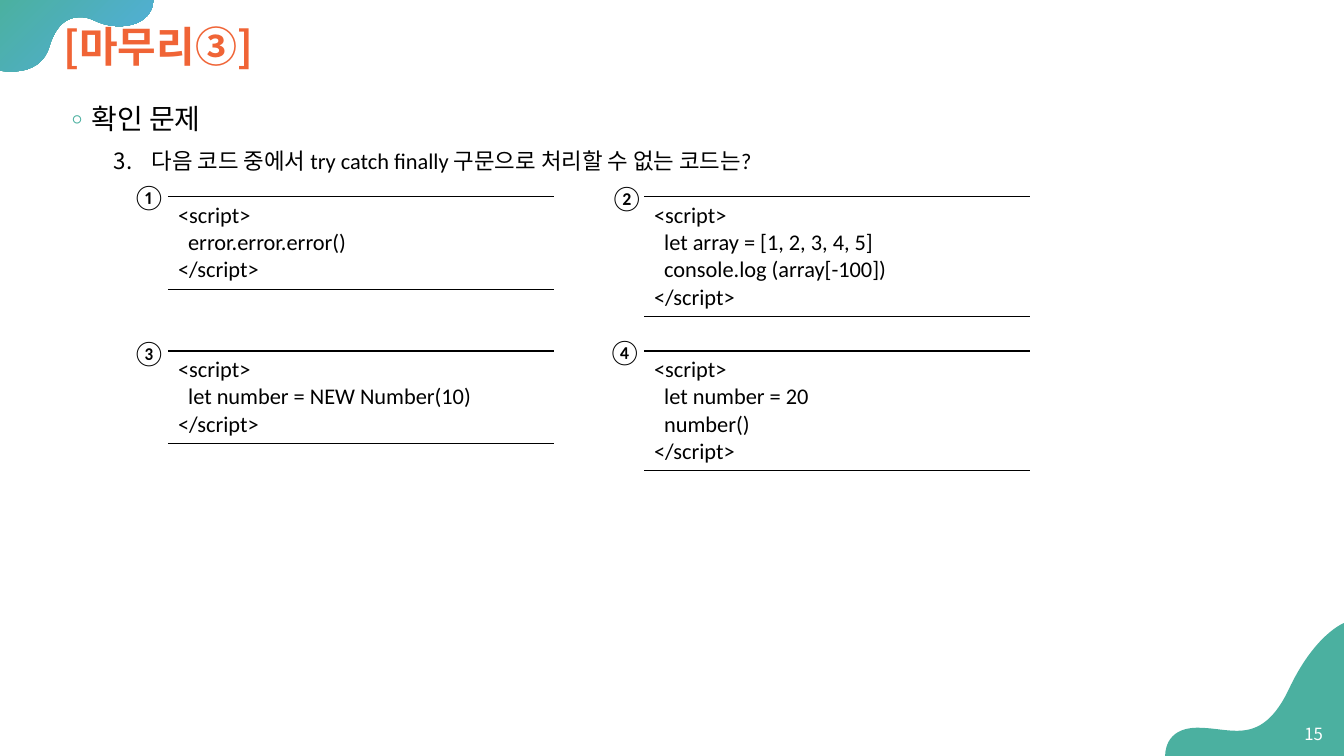
from lxml import etree
from pptx import Presentation
from pptx.dml.color import RGBColor
from pptx.enum.text import MSO_ANCHOR, MSO_AUTO_SIZE, PP_ALIGN
from pptx.oxml.ns import qn
from pptx.util import Pt

LEFT, RIGHT = PP_ALIGN.LEFT, PP_ALIGN.RIGHT
TOP, MIDDLE = MSO_ANCHOR.TOP, MSO_ANCHOR.MIDDLE
FIXED, GROW = MSO_AUTO_SIZE.NONE, MSO_AUTO_SIZE.SHAPE_TO_FIT_TEXT

TEAL = RGBColor(0x4B, 0xB0, 0xA0)
SKY = RGBColor(0x52, 0xAE, 0xE1)
ORANGE = RGBColor(0xF0, 0x64, 0x36)
BLACK = RGBColor(0, 0, 0)
WHITE = RGBColor(255, 255, 255)

LATIN = "Calibri"
KOREAN = "Noto Sans CJK KR"
CODE_INDENT = 7.2
CODE_WIDTH = 276

# Each wave: start point, cubic curves (two handles and an end), closing corner.
TOP_WAVE = (
    (0, 50.4),
    [((0, 50.4), (2.9, 51.1), (7.9, 51.1)),
     ((17.3, 51.1), (31, 48.2), (35.3, 33.1)),
     ((40.3, 16.6), (49, 12.2), (56.9, 12.2)),
     ((60.5, 12.2), (64.1, 13), (67, 14.4)),
     ((72.7, 17.3), (79.2, 18.7), (85, 18.7)),
     ((98.6, 18.7), (109.4, 12.2), (109.4, 0))],
    (0, 0),
)
BOTTOM_WAVE = (
    (960, 445),
    [((960, 445), (938.9, 452.9), (920.2, 493.2)),
     ((908.6, 517), (896.4, 522), (883.4, 522)),
     ((874.8, 522), (865.4, 519.8), (855.4, 519.8)),
     ((830.9, 519.8), (832.3, 540), (832.3, 540))],
    (960, 540),
)

# Number, its position, code position, code lines as (indent level, text).
CHOICES = [
    ("①", (87.4, 126), (120, 140.6),
     [(0, "<script>"), (1, "error.error.error()"), (0, "</script>")]),
    ("②", (428.7, 126.7), (460, 140.6),
     [(0, "<script>"), (1, "let array = [1, 2, 3, 4, 5]"),
      (1, "console.log (array[-100])"), (0, "</script>")]),
    ("③", (87.4, 237.4), (120, 250.7),
     [(0, "<script>"), (1, "let number = NEW Number(10)"), (0, "</script>")]),
    ("④", (427.2, 237), (460, 250.7),
     [(0, "<script>"), (1, "let number = 20"), (1, "number()"), (0, "</script>")]),
]


def indent(paragraph, margin, first=0):
    properties = paragraph._p.get_or_add_pPr()
    properties.set("marL", str(Pt(margin)))
    properties.set("indent", str(Pt(first)))
    return properties


def bend(outline, curves):
    """Turn the first straight segments of a freeform into cubic curves."""
    segments = list(outline._element.iter(qn("a:lnTo")))
    for segment, curve in zip(segments, curves):
        segment.tag = qn("a:cubicBezTo")
        segment.clear()
        for x, y in curve:
            etree.SubElement(segment, qn("a:pt"), x=str(Pt(x) - outline.left),
                             y=str(Pt(y) - outline.top))


class QuizSlide:
    def __init__(self, slide):
        self.slide = slide
        self.shapes = slide.shapes

    def style(self, paragraph, size, color=BLACK, latin=LATIN, bold=False):
        for run in paragraph.runs:
            font = run.font
            font.size, font.bold, font.name = Pt(size), bold, latin
            font.color.rgb = color
            if latin == KOREAN:
                east_asian = etree.Element(qn("a:ea"), typeface=KOREAN)
                run._r.rPr.find(qn("a:latin")).addnext(east_asian)

    def place(self, placeholder, left, top, width, height, anchor):
        placeholder.left, placeholder.top = Pt(left), Pt(top)
        placeholder.width, placeholder.height = Pt(width), Pt(height)
        frame = placeholder.text_frame
        frame.auto_size, frame.vertical_anchor = FIXED, anchor
        return frame

    def wave(self, start, curves, corner, end_color=None):
        stops = [start, *(curve[-1] for curve in curves), corner]
        anchors = [(Pt(x), Pt(y)) for x, y in stops]
        builder = self.shapes.build_freeform(*anchors[0])
        builder.add_line_segments(anchors[1:], close=True)
        wave = builder.convert_to_shape()
        bend(wave, curves)
        wave.shadow.inherit = False
        wave.line.fill.background()
        if end_color is None:
            wave.fill.solid()
            wave.fill.fore_color.rgb = TEAL
        else:
            wave.fill.gradient()
            wave.fill.gradient_angle = 315
            for stop, color in zip(wave.fill.gradient_stops, (TEAL, end_color)):
                stop.color.rgb = color
        self.shapes._spTree.insert(2, wave._element)

    def title(self, text):
        frame = self.place(self.shapes.title, 38, 8.6, 888.5, 52.6, MIDDLE)
        frame.text = text
        heading = frame.paragraphs[0]
        heading.alignment, heading.line_spacing = LEFT, 0.9
        self.style(heading, 30, ORANGE, KOREAN, True)

    def question(self, topic, question, number):
        frame = self.place(self.slide.placeholders[1], 38, 64, 888.5, 453.6, TOP)
        frame.text = f"{topic}\n{question}"
        rows = zip(frame.paragraphs, (20, 16), (10, 5), ((18, -18), (63, -27)))
        for level, (paragraph, size, gap, margins) in enumerate(rows):
            paragraph.level, paragraph.line_spacing = level, 1.2
            paragraph.space_before, paragraph.space_after = Pt(gap), Pt(0)
            properties = indent(paragraph, *margins)
            if level == 0:
                color = etree.SubElement(properties, qn("a:buClr"))
                etree.SubElement(color, qn("a:srgbClr"), val=str(TEAL))
                etree.SubElement(properties, qn("a:buFont"), typeface=KOREAN)
                etree.SubElement(properties, qn("a:buChar"), char="◦")
            else:
                etree.SubElement(properties, qn("a:buFont"), typeface=LATIN)
                etree.SubElement(properties, qn("a:buAutoNum"),
                                 type="arabicPeriod", startAt=str(number))
            self.style(paragraph, size)

    def label(self, text, left, top, size, width=32.4, color=BLACK,
              latin=LATIN, align=LEFT, anchor=TOP, grow=True):
        box = self.shapes.add_textbox(Pt(left), Pt(top), Pt(width), Pt(29))
        frame = box.text_frame
        frame.word_wrap = not grow
        frame.auto_size = GROW if grow else FIXED
        frame.vertical_anchor = anchor
        frame.text = text
        frame.paragraphs[0].alignment = align
        self.style(frame.paragraphs[0], size, color, latin)

    def code(self, left, top, lines):
        height = 7.2 + 19.55 * len(lines)
        table = self.shapes.add_table(
            1, 1, Pt(left), Pt(top), Pt(CODE_WIDTH), Pt(height)).table
        table.first_row = table.horz_banding = False
        cell = table.cell(0, 0)
        cell.fill.background()
        cell.text = "\n".join(text for _, text in lines)
        for paragraph, (level, _) in zip(cell.text_frame.paragraphs, lines):
            indent(paragraph, level * CODE_INDENT)
            self.style(paragraph, 16)
        for position, side in enumerate("LRTB"):
            border = etree.Element(qn(f"a:ln{side}"), w=str(Pt(1)))
            if side in "TB":
                fill = etree.SubElement(border, qn("a:solidFill"))
                etree.SubElement(fill, qn("a:srgbClr"), val=str(BLACK))
            else:
                etree.SubElement(border, qn("a:noFill"))
            cell._tc.tcPr.insert(position, border)


def main():
    deck = Presentation()
    deck.slide_width, deck.slide_height = Pt(960), Pt(540)
    quiz = QuizSlide(deck.slides.add_slide(deck.slide_layouts[1]))
    quiz.wave(*TOP_WAVE, end_color=SKY)
    quiz.wave(*BOTTOM_WAVE)
    quiz.title("[마무리③]")
    quiz.question("확인 문제",
                  "다음 코드 중에서 try catch finally 구문으로 처리할 수 없는 코드는?", 3)
    for number, number_at, code_at, lines in CHOICES:
        quiz.code(*code_at, lines)
        quiz.label(number, *number_at, 18)
    quiz.label("15", 920.5, 509.5, 12, 31.7, WHITE, KOREAN, RIGHT, MIDDLE, grow=False)
    deck.save("out.pptx")


if __name__ == "__main__":
    main()
